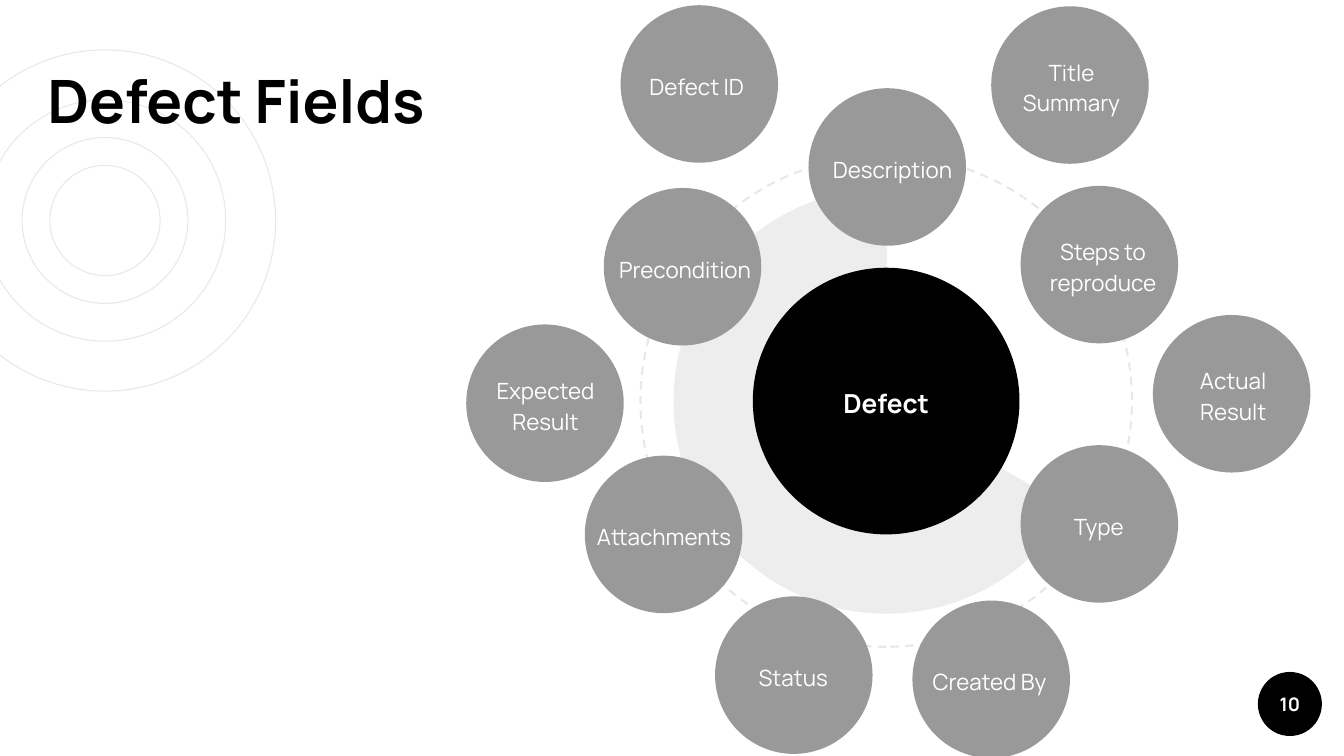
"""Builds the Defect Fields slide."""
from lxml import etree
from pptx import Presentation, util as u
from pptx.dml.color import RGBColor
from pptx.enum import dml, shapes, text
from pptx.oxml import ns

PX = 9525
PAD = 13
FONT = "Manrope"
BLACK = RGBColor(0, 0, 0)
WHITE = RGBColor(255, 255, 255)
GREY = RGBColor(0x99, 0x99, 0x99)
PALE = RGBColor(0xE8, 0xE8, 0xE8)

RINGS = (325, 230, 158, 105)
HUB = (844, 382)
FIELD_SIZE = 150
LABEL_TOP, LABEL_HEIGHT = 24, 103
FIELDS = (
    ("Description", 770, 84, 760, 180),
    ("Type", 972, 424, 993, 107),
    ("Steps to reproduce", 972, 177, 981, 139),
    ("Precondition", 575, 179, 571, 163),
    ("Actual Result", 1098, 300, 1100, 149),
    ("Expected Result", 444, 309, 429, 181),
    ("Title Summary", 944, 6, 941, 159),
    ("Created By", 869, 572, 866, 153),
    ("Status", 681, 568, 702, 107),
    ("Defect ID", 591, 5, 593, 141),
    ("Attachments", 557, 434, 542, 181),
)


def add_round(s, left, top, size, fill=None, line=None, width=0.75,
              kind=shapes.MSO_SHAPE.OVAL):
    """Add a circle or pie with an optional fill and outline."""
    sp = s.shapes.add_shape(kind, round(left * PX), round(top * PX), size * PX, size * PX)
    sp.shadow.inherit = False
    if fill is None:
        sp.fill.background()
    else:
        sp.fill.solid()
        sp.fill.fore_color.rgb = fill
    if line is None:
        sp.line.fill.background()
    else:
        sp.line.color.rgb = line
        sp.line.width = u.Pt(width)
    return sp


def add_centred(s, centre, size, **style):
    """Add a round shape about a centre point."""
    x, y = centre
    return add_round(s, x - size / 2, y - size / 2, size, **style)


def add_text(s, words, left, top, width, height, size, color=WHITE, bold=False,
             align=text.PP_ALIGN.CENTER, anchor=text.MSO_ANCHOR.MIDDLE, spacing=1.15):
    """Add a wrapped text box holding one run."""
    tf = s.shapes.add_textbox(left * PX, top * PX, width * PX, height * PX).text_frame
    tf.word_wrap = True
    tf.vertical_anchor = anchor
    tf.margin_left = tf.margin_right = tf.margin_top = tf.margin_bottom = PAD * PX
    p = tf.paragraphs[0]
    p.alignment = align
    p.line_spacing = spacing
    r = p.add_run()
    r.text = words
    r.font.name = FONT
    r.font.size = u.Pt(size)
    r.font.bold = bold
    r.font.color.rgb = color


def set_alpha(sp, percent):
    """Set the opacity of a solid fill."""
    color = sp.fill._xPr.find(ns.qn("a:solidFill"))[0]
    etree.SubElement(color, ns.qn("a:alpha")).set("val", str(percent * 1000))


def add_hub(s):
    """Add the dashed orbit, the shaded pie and the central circle."""
    orbit = add_centred(s, HUB, 468, line=PALE, width=1.5)
    orbit.line.dash_style = dml.MSO_LINE.DASH
    orbit.rotation = 270
    pie = add_centred(s, HUB, 405, fill=BLACK, kind=shapes.MSO_SHAPE.PIE)
    pie.adjustments[0] = 18.12
    pie.adjustments[1] = 162.15
    set_alpha(pie, 7)
    add_centred(s, HUB, 254, fill=BLACK)
    add_text(s, "Defect", 750, 324, 188, 116, 18.7, bold=True)


def add_field(s, words, left, top, label_left, label_width):
    """Add one field circle with its label."""
    add_round(s, left, top, FIELD_SIZE, fill=GREY)
    add_text(s, words, label_left, top + LABEL_TOP, label_width, LABEL_HEIGHT, 16)


def main():
    """Build and save the slide."""
    prs = Presentation()
    prs.slide_width, prs.slide_height = 1280 * PX, 720 * PX
    s = prs.slides.add_slide(prs.slide_layouts[6])
    for size in RINGS:
        add_centred(s, (100, 210), size, line=PALE)
    add_round(s, 1198, 640, 61, fill=BLACK)
    add_text(s, "Defect Fields", 32, 48, 940, 346, 42.7, BLACK, True,
             text.PP_ALIGN.LEFT, text.MSO_ANCHOR.TOP, 1.0)
    add_text(s, "10", 1198, 640, 61, 61, 13.3, bold=True, spacing=1.0)
    add_hub(s)
    for field in FIELDS:
        add_field(s, *field)
    prs.save("out.pptx")


if __name__ == "__main__":
    main()
